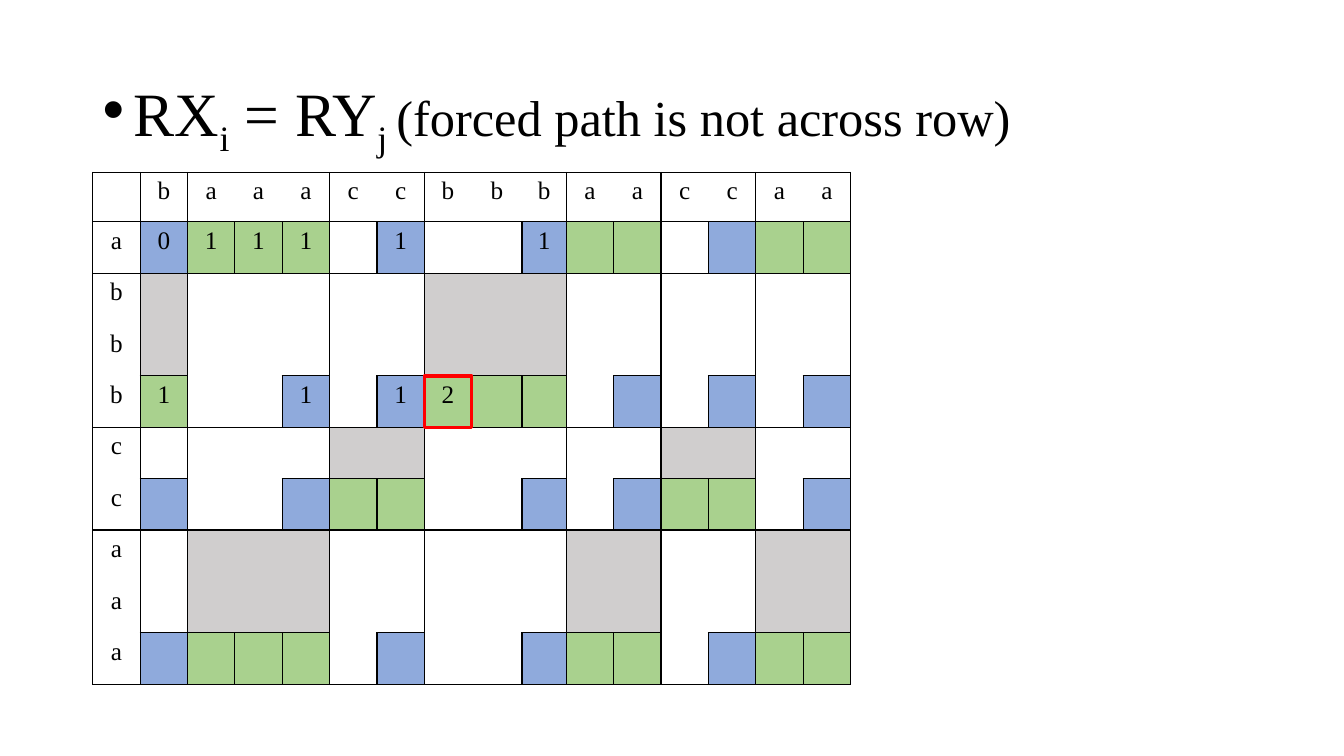
"""Build a slide with a run-length block grid for two strings."""
import pptx
import pptx.util
import pptx.dml.color
import pptx.enum.shapes
import pptx.enum.text
import pptx.oxml
import pptx.oxml.ns

Inches, Pt = pptx.util.Inches, pptx.util.Pt
RGB = pptx.dml.color.RGBColor.from_string
FACE = "Times New Roman"
HUES = {"ink": "000000", "match": "A9D18E", "edge": "8FAADC",
        "inner": "D0CECE", "mark": "FF0000"}
COLS = " baaaccbbbaaccaa"
ROWS = " abbbccaaa"
COSTS = {(1, 1): "0", (1, 2): "1", (1, 3): "1", (1, 4): "1", (1, 6): "1", (1, 9): "1",
         (4, 1): "1", (4, 4): "1", (4, 6): "1", (4, 7): "2"}
LEFT, TOP, WIDE, HEAD, HIGH = 0.92, 1.71, 0.47, 0.49, 0.51


def get_hue(row, col):
    """Name the colour of a cell from its place in its block."""
    if row == 0 or col == 0:
        return None
    match = ROWS[row] == COLS[col]
    if ROWS[row:row + 2] == ROWS[row] * 2:
        return "inner" if match else None
    if match:
        return "match"
    return None if COLS[col:col + 2] == COLS[col] * 2 else "edge"


def has_line(row, col, down, right):
    """Tell whether a line parts a cell from its neighbour."""
    near, side = row + down, col + right
    if not (0 <= near < len(ROWS) and 0 <= side < len(COLS)):
        return True
    if ROWS[row] != ROWS[near] or COLS[col] != COLS[side]:
        return True
    return bool({get_hue(row, col), get_hue(near, side)} & {"match", "edge"})


deck = pptx.Presentation()
deck.slide_width, deck.slide_height = Inches(13.33), Inches(7.5)
slide = deck.slides.add_slide(deck.slide_layouts[6])
space = pptx.oxml.ns.nsdecls("a")

title = slide.shapes.add_textbox(Inches(LEFT), Inches(0.4), Inches(11.5), Inches(1.45))
frame = title.text_frame
frame.word_wrap = True
frame.vertical_anchor = pptx.enum.text.MSO_ANCHOR.MIDDLE
para = frame.paragraphs[0]
para.line_spacing = 0.9
props = para._p.get_or_add_pPr()
props.set("marL", str(Inches(0.31)))
props.set("indent", str(-Inches(0.31)))
for mark in ('buFont {} typeface="Arial"', 'buChar {} char="•"'):
    props.append(pptx.oxml.parse_xml(f"<a:{mark.format(space)}/>"))
para.font.name = FACE
para.font.color.rgb = RGB(HUES["ink"])
for text, size, base in (("RX", 44, 0), ("i", 44, -25000), (" = RY", 44, 0),
                         ("j ", 44, -25000), ("(forced path is not across row)", 36, 0)):
    run = para.add_run()
    run.text = text
    run.font.size = Pt(size)
    if base:
        run._r.get_or_add_rPr().set("baseline", str(base))

widths = [WIDE] * len(COLS)
widths[8:10] = 0.5, 0.44
heights = [HEAD] + [HIGH] * (len(ROWS) - 1)
grid = slide.shapes.add_table(len(ROWS), len(COLS), Inches(LEFT), Inches(TOP),
                              Inches(sum(widths)), Inches(sum(heights))).table
grid.first_row = grid.horz_banding = False
for col, width in enumerate(widths):
    grid.columns[col].width = Inches(width)
for row, height in enumerate(heights):
    grid.rows[row].height = Inches(height)
    for col in range(len(COLS)):
        cell = grid.cell(row, col)
        if row == 0 or col == 0:
            cell.text = (COLS[col] if row == 0 else ROWS[row]).strip()
        else:
            cell.text = COSTS.get((row, col), "")
        para = cell.text_frame.paragraphs[0]
        para.alignment = pptx.enum.text.PP_ALIGN.CENTER
        para.font.name = FACE
        para.font.size = Pt(18)
        para.font.color.rgb = RGB(HUES["ink"])
        hue = get_hue(row, col)
        if hue:
            cell.fill.solid()
            cell.fill.fore_color.rgb = RGB(HUES[hue])
        else:
            cell.fill.background()
        props = cell._tc.get_or_add_tcPr()
        sides = (("L", 0, -1), ("R", 0, 1), ("T", -1, 0), ("B", 1, 0))
        for spot, (side, down, right) in enumerate(sides):
            paint = "<a:noFill/>"
            if has_line(row, col, down, right):
                paint = f'<a:solidFill><a:srgbClr val="{HUES["ink"]}"/></a:solidFill>'
            props.insert(spot, pptx.oxml.parse_xml(
                f'<a:ln{side} {space} w="{Pt(1)}">{paint}</a:ln{side}>'))

box = slide.shapes.add_shape(pptx.enum.shapes.MSO_SHAPE.RECTANGLE,
                             Inches(LEFT + 7 * WIDE), Inches(TOP + HEAD + 3 * HIGH),
                             Inches(WIDE), Inches(HIGH))
box.shadow.inherit = False
box.fill.background()
box.line.color.rgb = RGB(HUES["mark"])
box.line.width = Pt(2.25)

deck.save("out.pptx")
